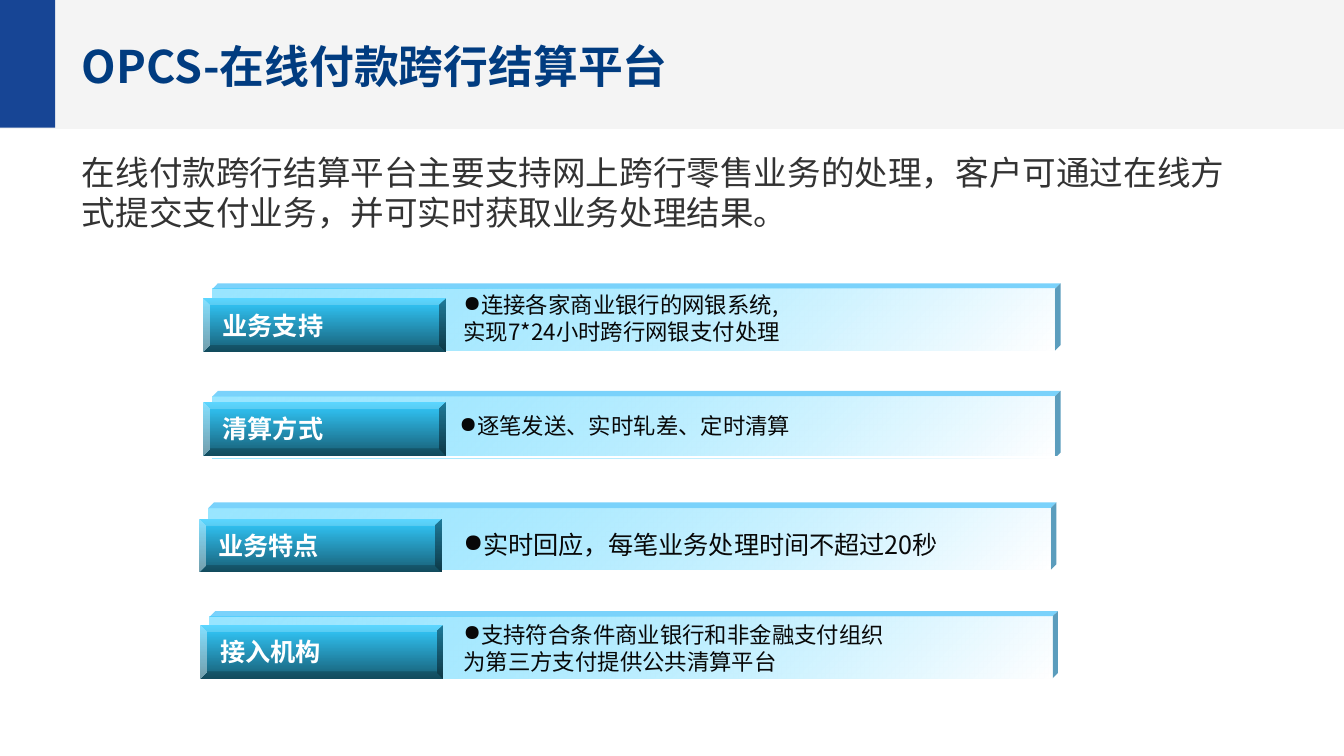
from dataclasses import dataclass

from lxml.etree import SubElement
from pptx import Presentation
from pptx.dml.color import RGBColor
from pptx.enum.shapes import MSO_CONNECTOR, MSO_SHAPE
from pptx.enum.text import MSO_ANCHOR, MSO_AUTO_SIZE, PP_ALIGN
from pptx.oxml.ns import qn
from pptx.util import Pt

CJK = "Noto Sans CJK SC"
PANEL_WIDTH, PANEL_HEIGHT, DEPTH = 451.4, 33.1, 3


@dataclass
class Row:
    """One labelled row, with its places in points."""

    label: str
    lines: list
    left: float
    top: float
    label_top: float
    text_left: float
    text_top: float
    rule: float
    size: float = 12


ROWS = [
    Row("业务支持", ["连接各家商业银行的网银系统,", "实现7*24小时跨行网银支付处理"],
        113.8, 154.8, 159.8, 241.2, 150.5, 188.6),
    Row("清算方式", ["逐笔发送、实时轧差、定时清算"],
        113.8, 212.4, 215.3, 239, 208.1, 244.8),
    Row("业务特点", ["实时回应，每笔业务处理时间不超过20秒"],
        111.6, 272.2, 277.9, 241.2, 271.4, 306, 13.5),
    Row("接入机构", ["支持符合条件商业银行和非金融支付组织", "为第三方支付提供公共清算平台"],
        112.3, 330.5, 334.8, 241.2, 326.9, 364.3),
]


def paint(color_format, color):
    """Set a colour from a hex string."""
    color_format.rgb = RGBColor.from_string(color)


def set_alpha(shape, *alphas):
    """Give the fill colours of a shape their opacities in percent."""
    for node, alpha in zip(shape._element.spPr.iter(qn("a:srgbClr")), alphas):
        SubElement(node, qn("a:alpha")).set("val", str(alpha * 1000))


def fill_solid(shape, color):
    """Fill a shape with one colour, without outline or shadow."""
    shape.shadow.inherit = False
    shape.fill.solid()
    paint(shape.fill.fore_color, color)
    shape.line.fill.background()


def fill_gradient(shape, start, end, angle):
    """Fill a shape with a two-colour gradient, without outline or shadow."""
    shape.shadow.inherit = False
    shape.fill.gradient()
    shape.fill.gradient_angle = angle
    for stop, color in zip(shape.fill.gradient_stops, (start, end)):
        paint(stop.color, color)
    shape.line.fill.background()


def add_block(page, kind, left, top, width, height):
    """Add a preset shape placed in points."""
    return page.shapes.add_shape(kind, Pt(left), Pt(top), Pt(width), Pt(height))


def add_face(page, points, color):
    """Add a closed polygon for one side of a raised panel."""
    builder = page.shapes.build_freeform(Pt(points[0][0]), Pt(points[0][1]))
    builder.add_line_segments([(Pt(x), Pt(y)) for x, y in points[1:]], close=True)
    fill_solid(builder.convert_to_shape(), color)


def write(box, lines, size, color, font=CJK, bold=False, bullet=None,
          anchor=MSO_ANCHOR.MIDDLE):
    """Write one left-aligned paragraph, its lines split by breaks."""
    frame = box.text_frame
    frame.word_wrap = True
    frame.auto_size = MSO_AUTO_SIZE.NONE
    frame.vertical_anchor = anchor
    para = frame.paragraphs[0]
    properties = para._p.get_or_add_pPr()
    properties.set("marL", "0")
    properties.set("indent", "0")
    if bullet:
        SubElement(properties, qn("a:buChar")).set("char", bullet)
    else:
        SubElement(properties, qn("a:buNone"))
    para.alignment = PP_ALIGN.LEFT
    para.space_before = Pt(0)
    for number, line in enumerate(lines):
        if number:
            para.add_line_break()
        span = para.add_run()
        span.text = line
        span.font.name = font
        span.font.size = Pt(size)
        span.font.bold = bold
        paint(span.font.color, color)
        SubElement(span.font._element, qn("a:ea")).set("typeface", CJK)


def place(box, left, top, width, height):
    """Move a placeholder and bring it to the front."""
    box.left, box.top, box.width, box.height = Pt(left), Pt(top), Pt(width), Pt(height)
    box._element.getparent().append(box._element)


def add_header(page):
    """Add the header band, the title and the introduction."""
    band = add_block(page, MSO_SHAPE.RECTANGLE, -0.7, -0.7, 721.4, 69.8)
    fill_solid(band, "D5D5D5")
    set_alpha(band, 24)
    fill_solid(add_block(page, MSO_SHAPE.RECTANGLE, 0, -0.7, 29.5, 69.1), "174595")
    title, body = page.shapes.title, page.placeholders[1]
    place(title, 36.7, 15.1, 462.2, 40.3)
    write(title, ["OPCS-在线付款跨行结算平台"], 24, "013C80", bold=True)
    place(body, 36.7, 77.8, 640.8, 51.1)
    write(body, ["在线付款跨行结算平台主要支持网上跨行零售业务的处理，客户可通过在线"
                 "方式提交支付业务，并可实时获取业务处理结果。"],
          18, "333333", font="Arial", anchor=MSO_ANCHOR.TOP)


def add_panel(page, left, top):
    """Add a pale panel with raised top and right sides."""
    right, bottom = left + PANEL_WIDTH, top + PANEL_HEIGHT
    add_face(page, [(left, top), (left + DEPTH, top - DEPTH),
                    (right + DEPTH, top - DEPTH), (right, top)], "7AD2FB")
    add_face(page, [(right, top), (right + DEPTH, top - DEPTH),
                    (right + DEPTH, bottom - DEPTH), (right, bottom)], "5B9DBD")
    panel = add_block(page, MSO_SHAPE.RECTANGLE, left, top, PANEL_WIDTH, PANEL_HEIGHT)
    fill_gradient(panel, "33CCFF", "FFFFFF", 315)
    set_alpha(panel, 50, 90)


def add_rule(page, top):
    """Add a thin white line under a row."""
    rule = page.shapes.add_connector(
        MSO_CONNECTOR.STRAIGHT, Pt(97.2), Pt(top), Pt(571), Pt(top))
    rule.line.width = Pt(0.75)
    paint(rule.line.color, "FFFFFF")
    SubElement(rule._element.spPr, qn("a:effectLst"))


def add_row(page, row):
    """Add a panel with its bevelled label and bulleted text."""
    add_panel(page, row.left, row.top)
    add_rule(page, row.rule)
    label = add_block(page, MSO_SHAPE.BEVEL, row.left - 5.1, row.label_top, 130.3, 28.8)
    label.adjustments[0] = 0.125
    fill_gradient(label, "33CCFF", "175E75", 270)
    write(label, [row.label], 13.5, "FFFFFF", font="Arial", bold=True)
    box = page.shapes.add_textbox(
        Pt(row.text_left), Pt(row.text_top), Pt(329.8), Pt(40.3))
    write(box, row.lines, row.size, "080808", bullet="●")


def main():
    """Build the slide and save it."""
    deck = Presentation()
    deck.slide_width, deck.slide_height = Pt(720), Pt(405)
    page = deck.slides.add_slide(deck.slide_layouts[1])
    add_header(page)
    for row in ROWS:
        add_row(page, row)
    deck.save("out.pptx")


if __name__ == "__main__":
    main()
